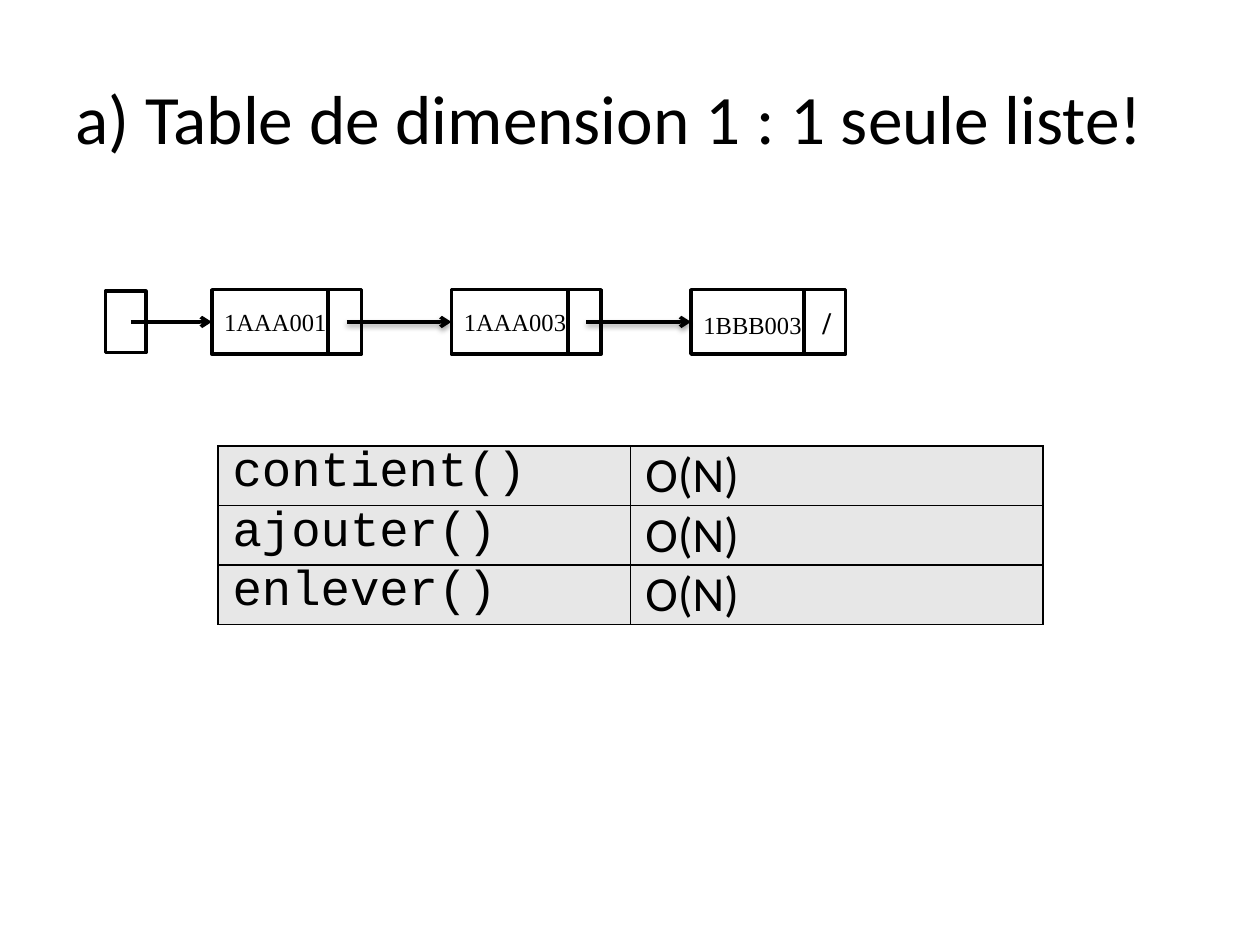
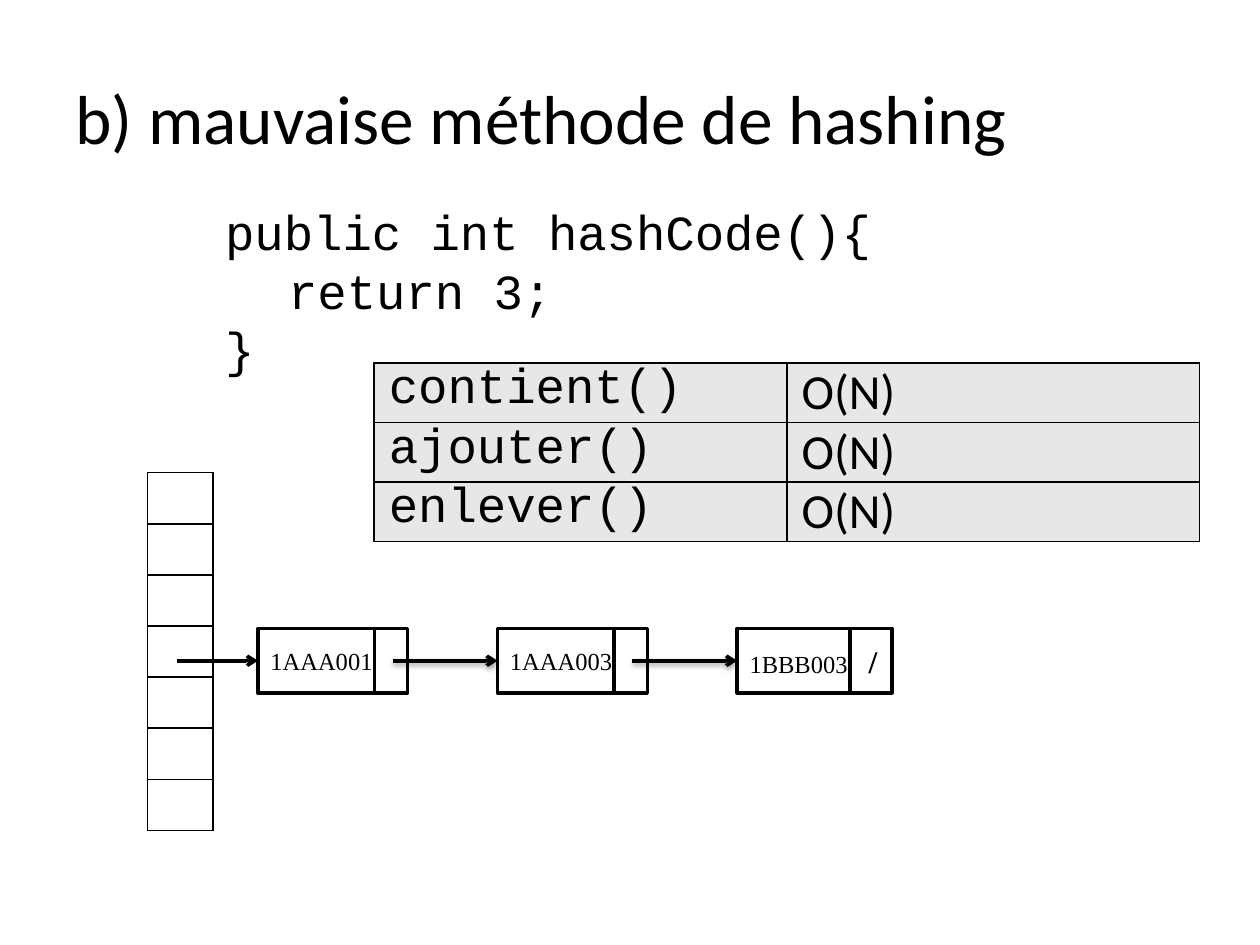
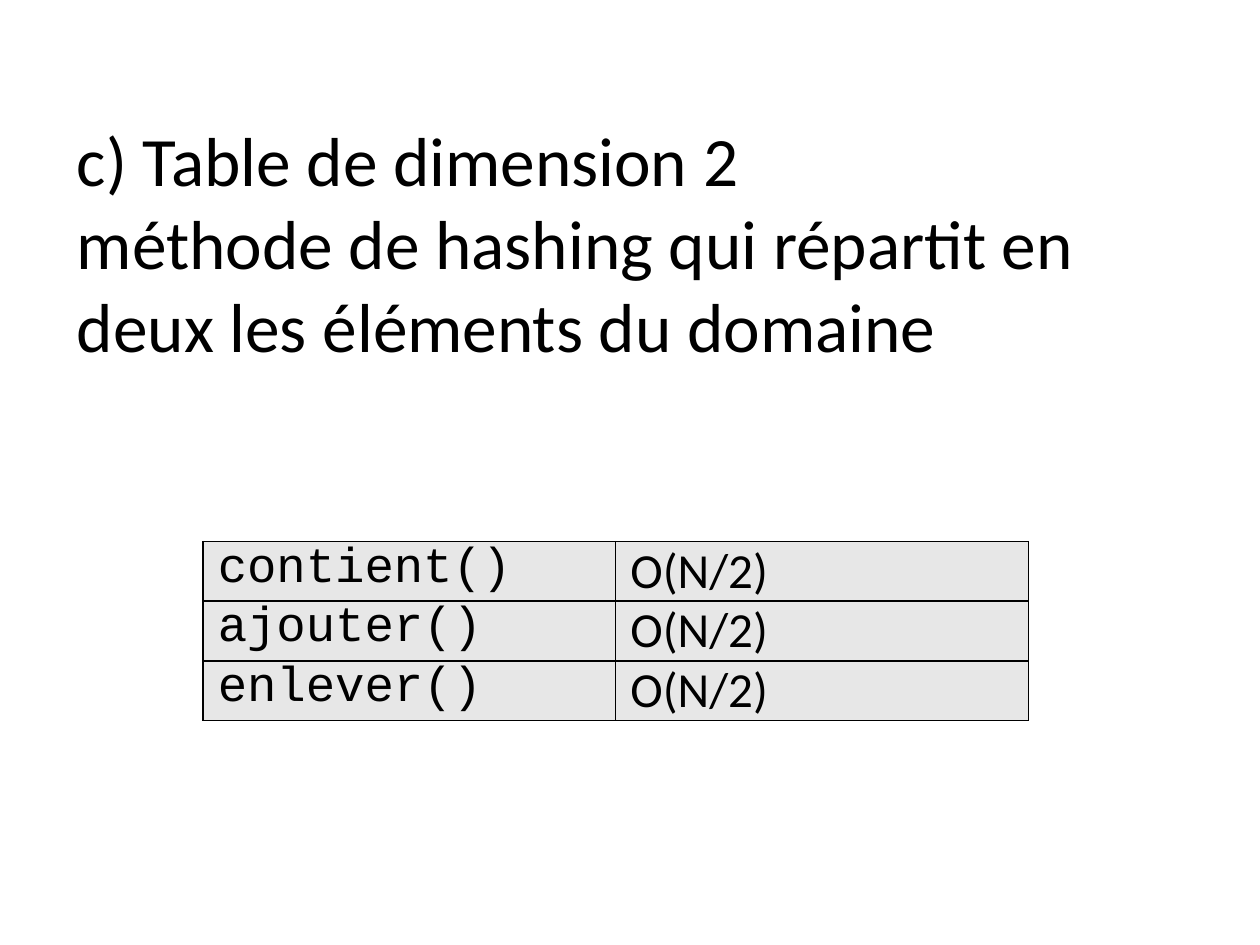
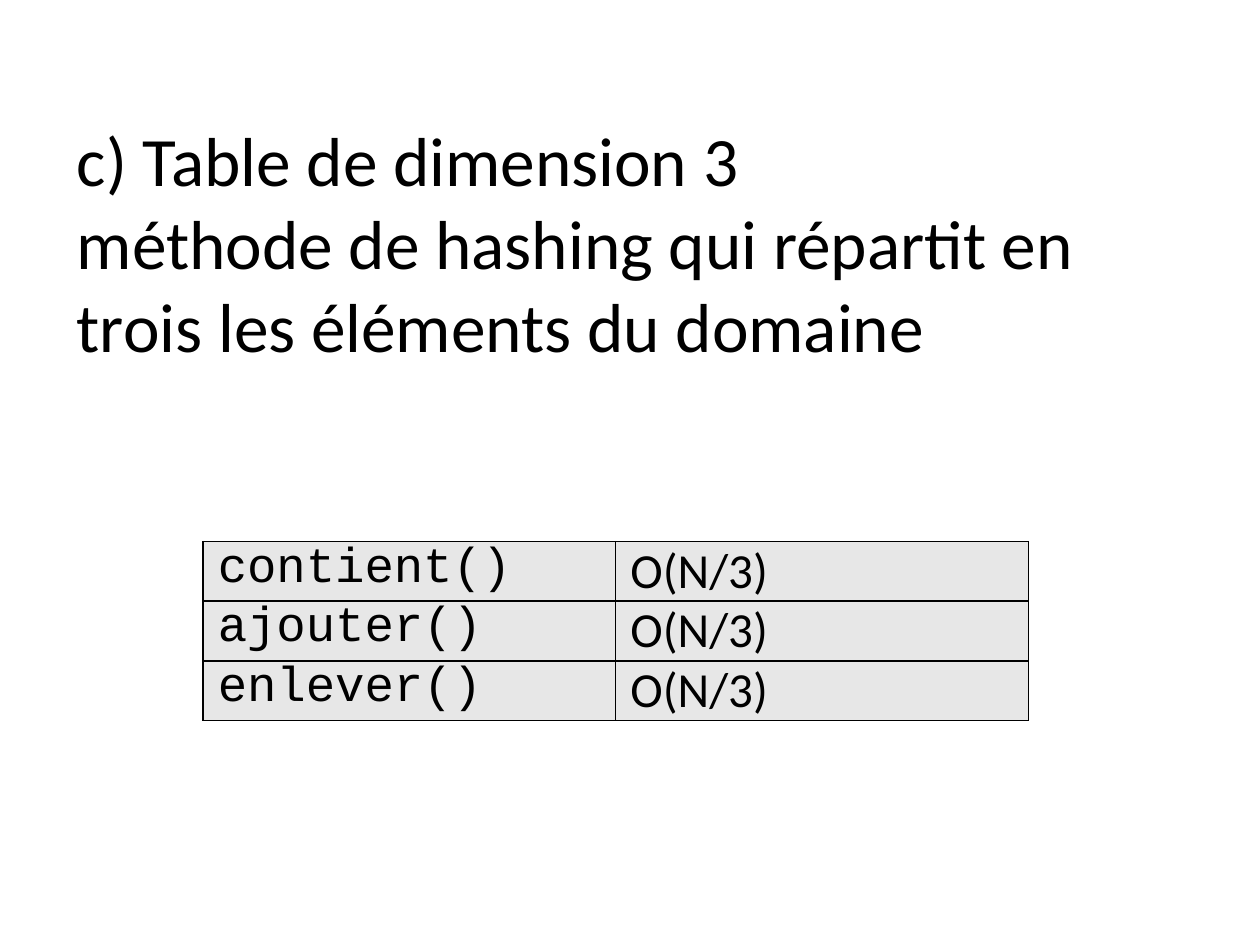
from pptx import Presentation
from pptx.dml.color import RGBColor
from pptx.enum.shapes import MSO_CONNECTOR, MSO_SHAPE
from pptx.enum.text import MSO_ANCHOR, PP_ALIGN
from pptx.oxml import parse_xml
from pptx.oxml.ns import nsdecls
from pptx.util import Cm, Pt

BLACK, WHITE, GREY = "000000", "FFFFFF", "E7E7E7"
SANS, MONO, SERIF = "Calibri", "Courier New", "Times New Roman"
METHODS = ["contient()", "ajouter()", "enlever()"]
KEYS = ["1AAA001", "1AAA003", "1BBB003"]

TITLE_SIZE = 39.6
TITLE_LINE = 1.7   # height of one title line, cm
NODE_H = 1.3
NODE_PITCH = 4.83
HEAD_REACH = 1.63  # length of the arrow that enters a chain


def rgb(color):
    return RGBColor.from_string(color)


def xml(tag, attrs="", inner=""):
    return parse_xml(f'<a:{tag} {nsdecls("a")} {attrs}>{inner}</a:{tag}>')


def style_run(r, size, font, bold=False):
    r.font.size, r.font.name, r.font.bold = Pt(size), font, bold
    r.font.color.rgb = rgb(BLACK)


def add_text(s, box, text, size, font, line_spacing=None):
    tf = s.shapes.add_textbox(*map(Cm, box)).text_frame
    tf.word_wrap = True
    tf.text = text
    for p in tf.paragraphs:
        p.line_spacing = line_spacing
        for r in p.runs:
            style_run(r, size, font)
    return tf


def add_title(s, box, text, lines_above=0):
    tf = add_text(s, box, text, TITLE_SIZE, SANS)
    tf.vertical_anchor = MSO_ANCHOR.MIDDLE
    tf.margin_top = Cm(0.13 + lines_above * TITLE_LINE)


def add_rect(s, x, y, w, h):
    sp = s.shapes.add_shape(MSO_SHAPE.RECTANGLE, Cm(x), Cm(y), Cm(w), Cm(h))
    sp.shadow.inherit = False
    sp.fill.solid()
    sp.fill.fore_color.rgb = rgb(WHITE)
    sp.line.color.rgb = rgb(BLACK)
    sp.line.width = Pt(2)
    return sp


def add_line(s, x1, y1, x2, y2, width, shadow=False):
    c = s.shapes.add_connector(MSO_CONNECTOR.STRAIGHT, Cm(x1), Cm(y1), Cm(x2), Cm(y2))
    c.line.color.rgb = rgb(BLACK)
    c.line.width = Pt(width)
    effect = ('<a:outerShdw blurRad="40000" dist="20000" dir="5400000" rotWithShape="0">'
              f'<a:srgbClr val="{BLACK}"><a:alpha val="38000"/></a:srgbClr></a:outerShdw>')
    c._element.spPr.append(xml("effectLst", inner=effect if shadow else ""))
    return c


def add_arrow(s, x, y, node, shadow=False):
    """Arrow from (x, y) to the middle of the node's left side."""
    c = add_line(s, x, y, node.left.cm, y, 2, shadow)
    c.line._get_or_add_ln().append(xml("tailEnd", 'type="arrow"'))
    c.end_connect(node, 1)


def add_node(s, x, y, key, last):
    """One list element: its key, then a cell for the link, "/" when it is the last."""
    node = add_rect(s, x, y, 3.12 if last else 3.02, NODE_H)
    tf = node.text_frame
    tf.margin_right = 0
    tf.vertical_anchor = MSO_ANCHOR.MIDDLE
    p = tf.paragraphs[0]
    p.text = key
    p.alignment = PP_ALIGN.LEFT
    style_run(p.runs[0], 14, SERIF)
    if last:
        stop = f'<a:tab pos="{Cm(2.4)}" algn="l"/>'
        p._p.get_or_add_pPr().append(xml("tabLst", inner=stop))
        r = p.add_run()
        r.text = "\t/"
        style_run(r, 18, SERIF, bold=True)
    divider = x + (2.28 if last else 2.35)
    add_line(s, divider, y, divider, y + NODE_H, 2.25)
    return node


def add_chain(s, x, y):
    """Linked list whose first node has its top left corner at (x, y)."""
    middle = y + NODE_H / 2
    nodes = [add_node(s, x + i * NODE_PITCH, y, key, key == KEYS[-1])
             for i, key in enumerate(KEYS)]
    add_arrow(s, x - HEAD_REACH, middle, nodes[0])
    for i, node in enumerate(nodes[1:]):
        add_arrow(s, x + i * NODE_PITCH + 2.72, middle, node, shadow=True)


def add_grid(s, x, y, rows, cols, col_w, row_h):
    """Table without style, with thin black borders around every cell."""
    frame = s.shapes.add_table(rows, cols, Cm(x), Cm(y), Cm(col_w * cols), Cm(row_h * rows))
    table = frame.table
    table.first_row = table.horz_banding = False
    for row in table.rows:
        row.height = Cm(row_h)
    for cell in table.iter_cells():
        tcPr = cell._tc.get_or_add_tcPr()
        for side in ("lnL", "lnR", "lnT", "lnB"):
            tcPr.append(xml(side, f'w="{Pt(1)}"',
                            f'<a:solidFill><a:srgbClr val="{BLACK}"/></a:solidFill>'))
        cell.fill.background()
    return table


def add_costs(s, x, y, cost):
    table = add_grid(s, x, y, len(METHODS), 2, 8.32, 1.2)
    for i, method in enumerate(METHODS):
        for j, (text, font) in enumerate([(method, MONO), (cost, SANS)]):
            cell = table.cell(i, j)
            cell.fill.solid()
            cell.fill.fore_color.rgb = rgb(GREY)
            cell.margin_left = cell.margin_right = Cm(0.3)
            cell.margin_top = cell.margin_bottom = 0
            cell.text = text
            style_run(cell.text_frame.paragraphs[0].runs[0], 28, font)


def single_list_slide(s):
    add_title(s, (1.27, 0.76, 22.86, 3.18), "a) Table de dimension 1 : 1 seule liste!")
    add_rect(s, 2.13, 5.87, 0.81, 1.24)
    add_chain(s, 4.27, 5.84)
    add_costs(s, 4.39, 8.99, "O(N)")


def bad_hashing_slide(s):
    add_title(s, (1.27, 0.76, 22.86, 3.18), "b) mauvaise méthode de hashing")
    add_text(s, (4.29, 3.94, 15.6, 3.84), "public int hashCode(){\n\treturn 3;\n}",
             28, MONO, line_spacing=Pt(33.5))
    add_grid(s, 2.97, 9.53, 7, 1, 1.32, 1.03)
    add_chain(s, 5.2, 12.67)
    add_costs(s, 7.54, 7.32, "O(N)")


def split_slide(s, parts, word):
    add_title(s, (1.3, 1.12, 22.86, 5.79),
              f"c) Table de dimension {parts}\vméthode de hashing qui répartit en "
              f"{word} les éléments du domaine", lines_above=1)
    add_costs(s, 4.09, 10.92, f"O(N/{parts})")


def main():
    prs = Presentation()
    prs.slide_width, prs.slide_height = Cm(25.4), Cm(19.05)

    def new_slide():
        return prs.slides.add_slide(prs.slide_layouts[6])

    single_list_slide(new_slide())
    bad_hashing_slide(new_slide())
    split_slide(new_slide(), 2, "deux")
    split_slide(new_slide(), 3, "trois")
    prs.save("out.pptx")


if __name__ == "__main__":
    main()
